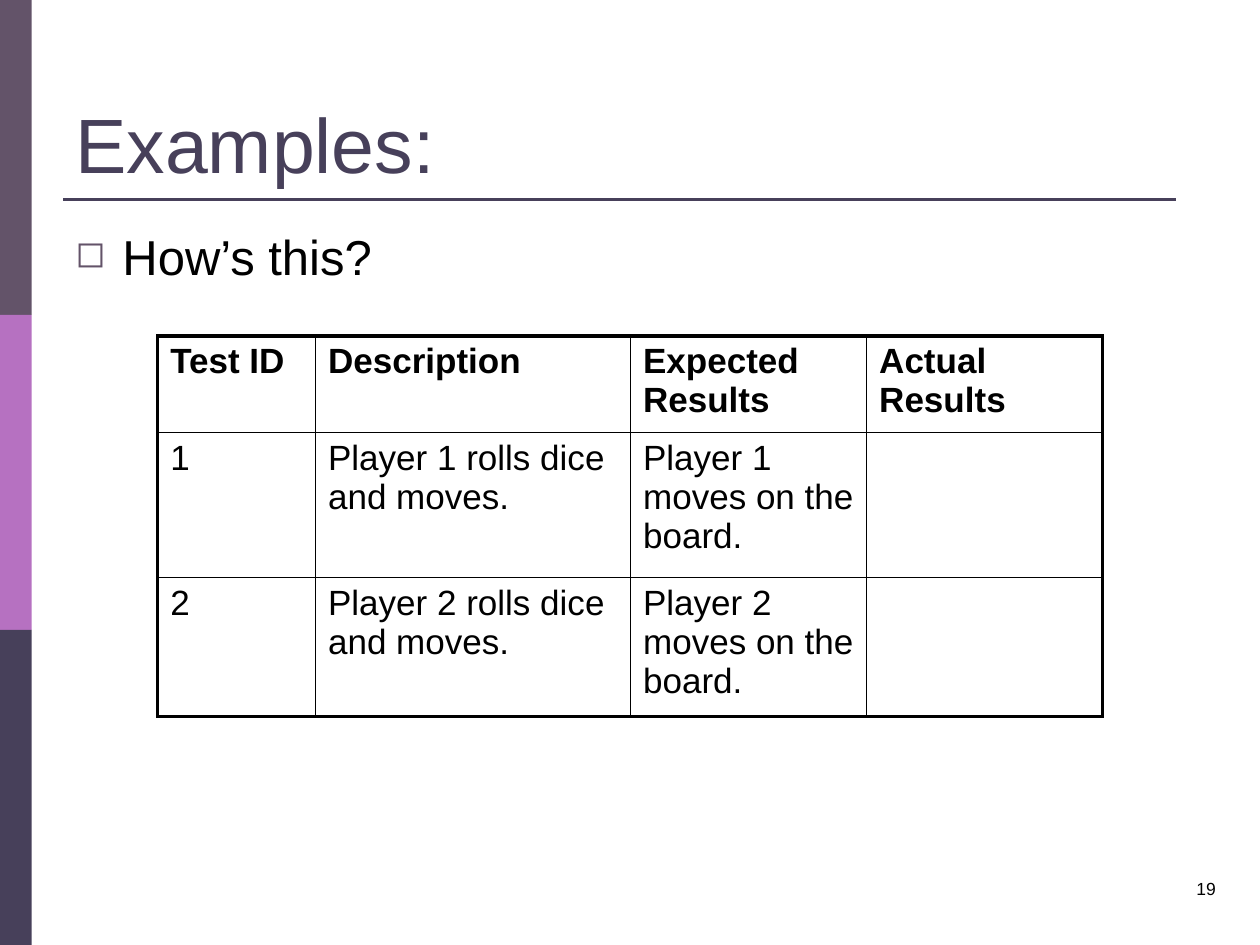
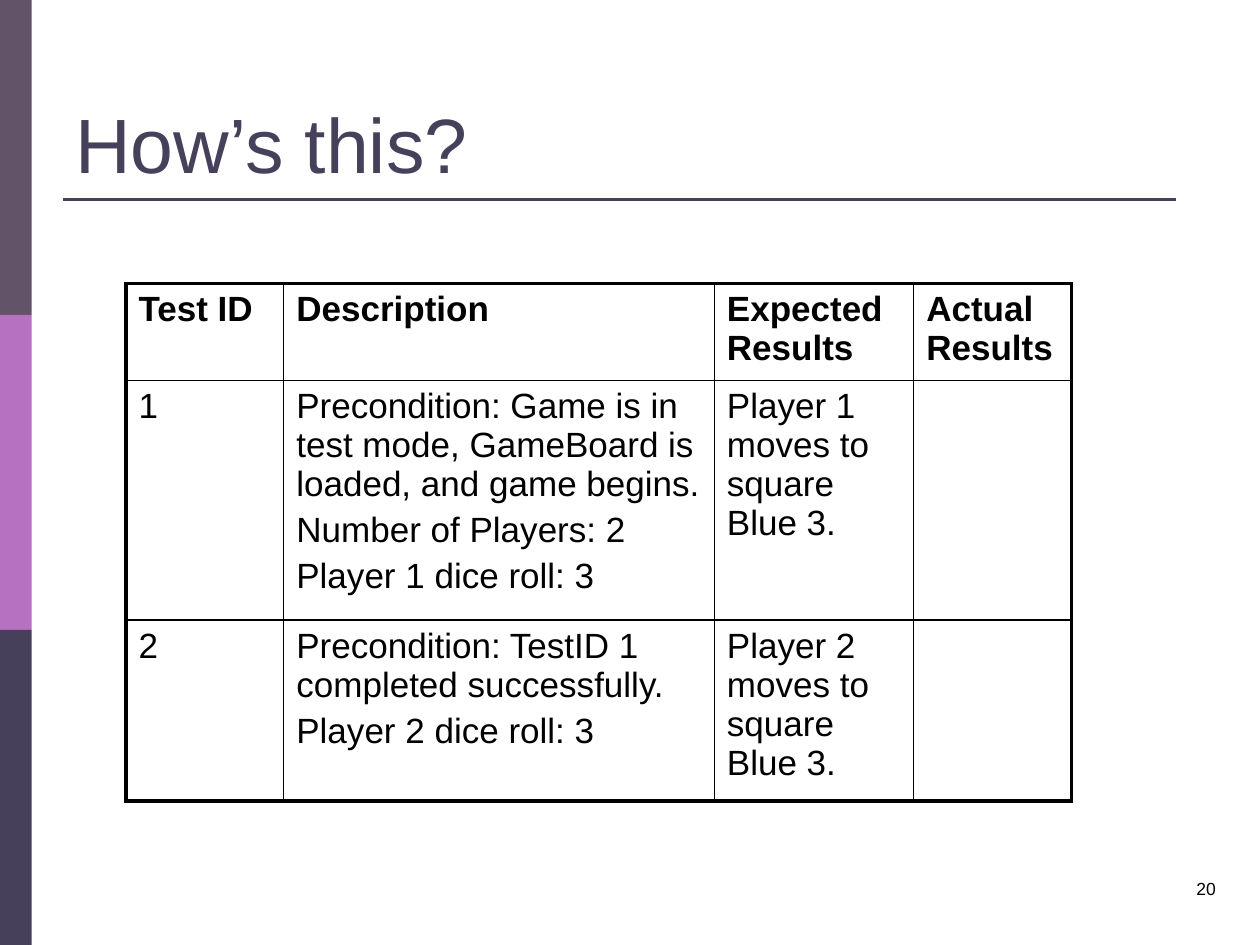
from dataclasses import dataclass

import lxml.etree
import pptx
import pptx.dml.color
import pptx.enum.shapes
import pptx.enum.text
import pptx.oxml.ns
import pptx.util

Cm = pptx.util.Cm
Pt = pptx.util.Pt
qn = pptx.oxml.ns.qn
Align = pptx.enum.text.PP_ALIGN
Anchor = pptx.enum.text.MSO_ANCHOR

COLORS = {"plum": "635369", "orchid": "B671C1", "indigo": "47405A", "black": "000000"}
SPACE_BEFORE = 0.2  # share of the font size
THIN, THICK = 1, 2.25
HEADERS = ("Test ID", "Description", "Expected Results", "Actual Results")


@dataclass
class TextStyle:
    """Look of a piece of text."""
    size: float
    color: str = "black"
    bold: bool = False
    align: Align = Align.LEFT
    space_before: float = 0


TITLE = TextStyle(44, "indigo")
BODY = TextStyle(28, space_before=SPACE_BEFORE)
NUMBER = TextStyle(10, align=Align.RIGHT)
HEADER = TextStyle(20, bold=True, space_before=SPACE_BEFORE)
CELL = TextStyle(20, space_before=SPACE_BEFORE)


@dataclass
class TestTable:
    """A table of test cases; lengths in cm, lines of a cell split by newlines."""
    left: float
    top: float
    widths: tuple[float, ...]
    heights: tuple[float, ...]
    rows: tuple[tuple[str, ...], ...]


@dataclass
class TestSlide:
    """Content of one slide."""
    number: int
    title: str
    table: TestTable
    bullet: str = ""


def rgb(name: str) -> pptx.dml.color.RGBColor:
    """Return the named colour."""
    return pptx.dml.color.RGBColor.from_string(COLORS[name])


def write(tf, text: str, style: TextStyle) -> None:
    """Fill a text frame, one paragraph for each line of text."""
    font = {"size": Pt(style.size), "name": "Arial", "bold": style.bold}
    for i, line in enumerate(text.split("\n")):
        p = tf.paragraphs[0] if i == 0 else tf.add_paragraph()
        p.alignment = style.align
        p.space_before = Pt(style.size * style.space_before)
        r = p.add_run()
        r.text = line
        for key, value in font.items():
            setattr(r.font, key, value)
        r.font.color.rgb = rgb(style.color)


def add_text(s, box: tuple[float, ...], text: str, style: TextStyle, anchor=Anchor.TOP):
    """Add a wrapping text box and return its text frame."""
    tf = s.shapes.add_textbox(*map(Cm, box)).text_frame
    for key, value in {"word_wrap": True, "vertical_anchor": anchor}.items():
        setattr(tf, key, value)
    write(tf, text, style)
    return tf


def add_bullet(p) -> None:
    """Give a paragraph a hanging square bullet."""
    pPr = p._p.get_or_add_pPr()
    for key, value in {"marL": Cm(0.95), "indent": Cm(-0.95)}.items():
        pPr.set(key, str(int(value)))
    color = lxml.etree.SubElement(pPr, qn("a:buClr"))
    lxml.etree.SubElement(color, qn("a:srgbClr"), val=COLORS["plum"])
    lxml.etree.SubElement(pPr, qn("a:buSzPct"), val="75000")
    lxml.etree.SubElement(pPr, qn("a:buChar"), char="\u25fb")


def add_frame(prs, s) -> None:
    """Draw the three side bands and the rule under the title."""
    height = prs.slide_height // 3
    for i, name in enumerate(("plum", "orchid", "indigo")):
        sp = s.shapes.add_shape(pptx.enum.shapes.MSO_SHAPE.RECTANGLE,
                                0, i * height, Cm(0.64), height)
        sp.shadow.inherit = False
        sp.fill.solid()
        sp.fill.fore_color.rgb = rgb(name)
        sp.line.fill.background()
    rule = s.shapes.add_connector(pptx.enum.shapes.MSO_CONNECTOR.STRAIGHT,
                                  Cm(1.27), Cm(4.02), Cm(23.7), Cm(4.02))
    rule.line.color.rgb = rgb("indigo")
    rule.line.width = Pt(1.5)
    lxml.etree.SubElement(rule._element.spPr, qn("a:effectLst"))


def set_borders(cell, widths: dict[str, float]) -> None:
    """Draw black cell borders, given as side letter and width in points."""
    tcPr = cell._tc.get_or_add_tcPr()
    for side, width in widths.items():
        ln = lxml.etree.SubElement(tcPr, qn(f"a:ln{side}"), w=str(int(Pt(width))))
        fill = lxml.etree.SubElement(ln, qn("a:solidFill"))
        lxml.etree.SubElement(fill, qn("a:srgbClr"), val=COLORS["black"])


def add_test_table(s, spec_table: TestTable) -> None:
    """Add a table with a thick outline and thin inner lines."""
    t = spec_table
    rows = (HEADERS, *t.rows)
    last_row, last_col = len(rows) - 1, len(HEADERS) - 1
    table = s.shapes.add_table(len(rows), len(HEADERS), Cm(t.left), Cm(t.top),
                               Cm(sum(t.widths)), Cm(sum(t.heights))).table
    table.first_row = table.horz_banding = False
    for column, width in zip(table.columns, t.widths):
        column.width = Cm(width)
    for i, (row, height) in enumerate(zip(rows, t.heights)):
        table.rows[i].height = Cm(height)
        for j, text in enumerate(row):
            cell = table.cell(i, j)
            outer = {"L": j == 0, "R": j == last_col, "T": i == 0, "B": i == last_row}
            set_borders(cell, {k: THICK if v else THIN for k, v in outer.items()})
            cell.fill.background()
            if text:
                write(cell.text_frame, text, HEADER if i == 0 else CELL)


def add_slide(prs, content: TestSlide) -> None:
    """Add one slide with frame, title, optional bullet, number and table."""
    s = prs.slides.add_slide(prs.slide_layouts[6])
    add_frame(prs, s)
    add_text(s, (1.27, 0.76, 22.86, 3.18), content.title, TITLE, Anchor.BOTTOM)
    if content.bullet:
        tf = add_text(s, (1.27, 4.45, 22.86, 3.6), content.bullet, BODY)
        add_bullet(tf.paragraphs[0])
    add_text(s, (23.07, 17.57, 1.69, 0.85), str(content.number), NUMBER)
    add_test_table(s, content.table)


SLIDES = (
    TestSlide(19, "Examples:", TestTable(
        3.18, 6.77, (3.18, 6.35, 4.76, 4.76), (1.95, 2.92, 2.8),
        tuple((str(n), f"Player {n} rolls dice and moves.",
               f"Player {n} moves on the board.", "") for n in (1, 2)),
    ), bullet="How’s this?"),
    TestSlide(20, "How’s this?", TestTable(
        2.54, 5.72, (3.18, 8.68, 4.02, 3.18), (1.95, 4.83, 3.64),
        (("1", "Precondition: Game is in test mode, GameBoard is loaded, and game begins.\n"
               "Number of Players: 2\nPlayer 1 dice roll: 3",
          "Player 1 moves to square Blue 3.", ""),
         ("2", "Precondition: TestID 1 completed successfully.\nPlayer 2 dice roll: 3",
          "Player 2 moves to square Blue 3.", "")),
    )),
)

prs = pptx.Presentation()
prs.slide_width, prs.slide_height = Cm(25.4), Cm(19.05)
for content in SLIDES:
    add_slide(prs, content)
prs.save("out.pptx")
